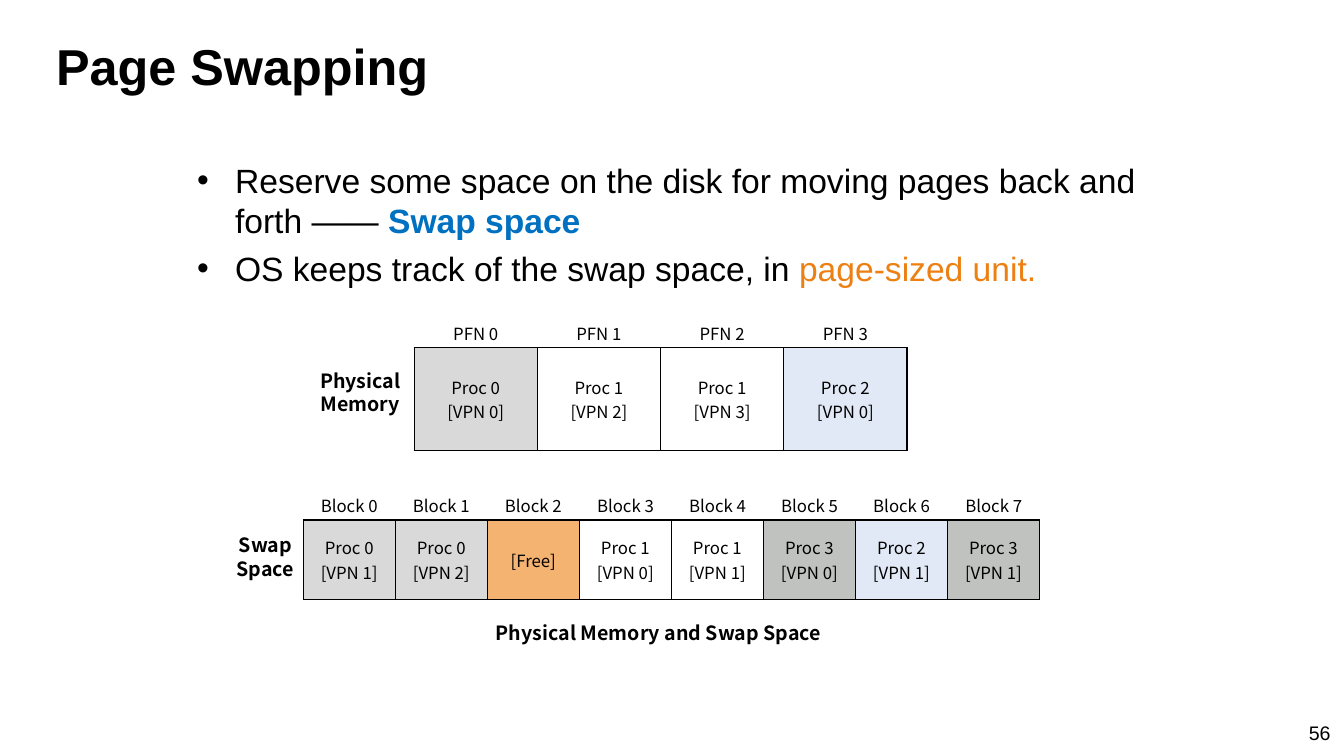
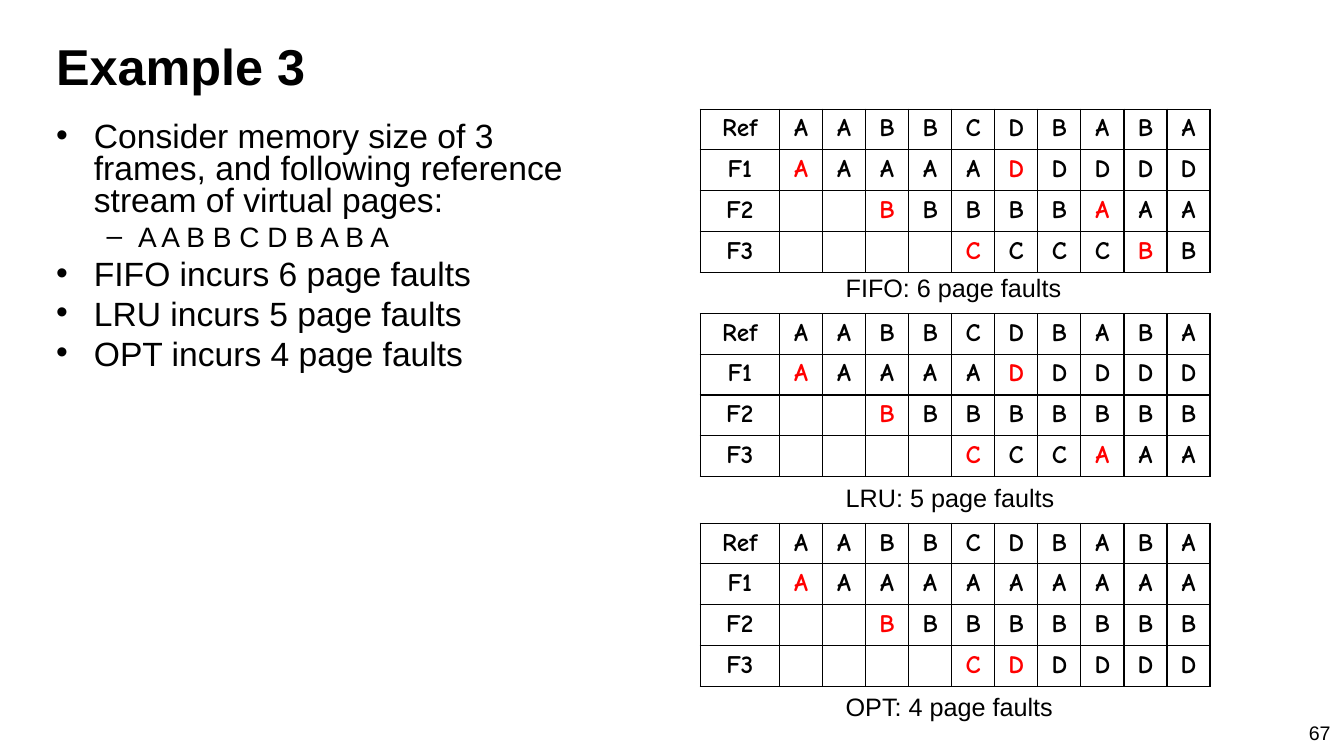
"""Build two lecture slides on page swapping and page replacement."""
from lxml.etree import SubElement
from pptx import Presentation
from pptx.dml.color import RGBColor
from pptx.enum.text import MSO_ANCHOR, PP_ALIGN
from pptx.oxml.ns import qn
from pptx.util import Inches, Pt

BLACK = RGBColor(0x00, 0x00, 0x00)
RED = RGBColor(0xFF, 0x00, 0x00)
BLUE = RGBColor(0x00, 0x70, 0xC0)
ORANGE = RGBColor(0xED, 0x80, 0x13)
PROC_FILLS = {
    "Proc 0": RGBColor(0xD9, 0xD9, 0xD9),
    "Proc 2": RGBColor(0xE2, 0xE9, 0xF6),
    "Proc 3": RGBColor(0xC0, 0xC2, 0xC0),
    "[Free]": RGBColor(0xF4, 0xB3, 0x71),
}

COLUMNS, ROWS = 160, 90
UNIT = Inches(1) // 12

TITLE = {"name": "Arial", "size": Pt(36), "bold": True}
BODY = {"name": "Arial", "size": Pt(24), "bold": False}
SUB_BODY = {**BODY, "size": Pt(20)}
NOTE = {"name": "Arial", "size": Pt(18), "bold": False}
NUMBER = {"name": "Arial", "size": Pt(14), "bold": False}
CELL = {"name": "Noto Sans CJK KR", "size": Pt(12), "bold": False}
LABEL = {"name": "Noto Sans CJK KR", "size": Pt(14), "bold": True}
TRACE = {"name": "Comic Neue", "size": Pt(18), "bold": True}

BULLETS = [
    {"char": "•", "left": 4.5, "hang": 4.5, "style": BODY},
    {"char": "–", "left": 9.75, "hang": 3.75, "style": SUB_BODY},
]

REFERENCES = "AABBCDBABA"
POLICIES = [
    ("FIFO", 6, 13, 31.8, ["AAAAADDDDD", "BBBBBAAA", "CCCCBB"]),
    ("LRU", 5, 37.35, 56.8, ["AAAAADDDDD", "BBBBBBBB", "CCCAAA"]),
    ("OPT", 4, 62.3, 81.7, ["AAAAAAAAAA", "BBBBBBBB", "CDDDDD"]),
]


def grid(*lengths):
    return [round(n * UNIT) for n in lengths]


class Deck:
    def __init__(self):
        self.prs = Presentation()
        self.prs.slide_width, self.prs.slide_height = grid(COLUMNS, ROWS)
        self.s = None

    def slide(self, title, number):
        self.s = self.prs.slides.add_slide(self.prs.slide_layouts[6])
        self.text(5.5, 3.6, 148.8, 8.5, [title], TITLE)
        self.text(152.2, 85.2, 7.4, 4.8, [number], NUMBER, PP_ALIGN.RIGHT)

    def run(self, p, text, style, color=BLACK, **changes):
        r = p.add_run()
        r.text = text
        for key, value in {**style, **changes}.items():
            setattr(r.font, key, value)
        r.font.color.rgb = color

    def lines(self, tf, lines, style, align=PP_ALIGN.LEFT, color=BLACK):
        for i, line in enumerate(lines):
            p = tf.add_paragraph() if i else tf.paragraphs[0]
            p.alignment = align
            self.run(p, line, style, color)

    def box(self, *place):
        tf = self.s.shapes.add_textbox(*grid(*place)).text_frame
        tf.word_wrap = True
        return tf

    def text(self, col, row, width, height, lines, style, align=PP_ALIGN.LEFT):
        self.lines(self.box(col, row, width, height), lines, style, align)

    def bullets(self, col, row, width, height, items, spacing=1.0):
        tf = self.box(col, row, width, height)
        for i, (level, runs) in enumerate(items):
            p = tf.add_paragraph() if i else tf.paragraphs[0]
            bullet = BULLETS[level]
            style = bullet["style"]
            left, hang = grid(bullet["left"], bullet["hang"])
            pPr = p._p.get_or_add_pPr()
            pPr.set("marL", str(left))
            pPr.set("indent", str(-hang))
            SubElement(pPr, qn("a:buFont"), typeface=style["name"])
            SubElement(pPr, qn("a:buChar"), char=bullet["char"])
            p.level = level
            p.line_spacing = spacing
            if i:
                p.space_before = Pt(round(style["size"].pt * 0.23, 1))
            for text, color, bold in runs:
                self.run(p, text, style, color, bold=bold)

    def borders(self, cell):
        tcPr = cell._tc.get_or_add_tcPr()
        for i, side in enumerate(("a:lnL", "a:lnR", "a:lnT", "a:lnB")):
            ln = tcPr.makeelement(qn(side), {"w": str(Pt(1))})
            fill = SubElement(ln, qn("a:solidFill"))
            SubElement(fill, qn("a:srgbClr"), val=str(BLACK))
            tcPr.insert(i, ln)

    def table(self, col, row, widths, heights, cells, style, anchor):
        place = grid(col, row, sum(widths), sum(heights))
        shape = self.s.shapes.add_table(len(heights), len(widths), *place)
        table = shape.table
        table.first_row = table.horz_banding = False
        for column, width in zip(table.columns, grid(*widths)):
            column.width = width
        for line, height in zip(table.rows, grid(*heights)):
            line.height = height
        for y, values in enumerate(cells):
            for x, (lines, color, fill) in enumerate(values):
                cell = table.cell(y, x)
                cell.vertical_anchor = anchor
                if fill is None:
                    cell.fill.background()
                else:
                    cell.fill.solid()
                    cell.fill.fore_color.rgb = fill
                self.borders(cell)
                self.lines(cell.text_frame, lines, style, PP_ALIGN.CENTER, color)

    def memory(self, col, row, width, height, unit, slots):
        cells = [(slot, BLACK, PROC_FILLS.get(slot[0])) for slot in slots]
        self.table(col, row, [width] * len(slots), [height], [cells], CELL,
                   MSO_ANCHOR.MIDDLE)
        label_width = 21.2
        for i in range(len(slots)):
            left = col + (i + 0.5) * width - label_width / 2
            self.text(left, row - 3.5, label_width, 3.6, [f"{unit} {i}"], CELL,
                      PP_ALIGN.CENTER)

    def trace(self, row, frames):
        cells = [[([v], BLACK, None) for v in ("Ref", *REFERENCES)]]
        for i, pages in enumerate(frames, 1):
            pages = pages.rjust(len(REFERENCES))
            line = [([f"F{i}"], BLACK, None)]
            for before, page in zip(" " + pages, pages):
                lines = [page] if page.strip() else []
                line.append((lines, BLACK if page == before else RED, None))
            cells.append(line)
        self.table(83.35, row, [9.45] + [5.13] * len(REFERENCES),
                   [4.65] + [4.87] * len(frames), cells, TRACE, MSO_ANCHOR.TOP)


def swapping(deck):
    deck.slide("Page Swapping", "56")
    deck.bullets(22.3, 18.4, 115.3, 71, [
        (0, [("Reserve some space on the disk for moving pages back and forth —— ",
              BLACK, False), ("Swap space", BLUE, True)]),
        (0, [("OS keeps track of the swap space, in ", BLACK, False),
             ("page-sized unit.", ORANGE, False)]),
    ])
    deck.memory(49.3, 41.4, 14.67, 12.25, "PFN", [
        ("Proc 0", "[VPN 0]"), ("Proc 1", "[VPN 2]"),
        ("Proc 1", "[VPN 3]"), ("Proc 2", "[VPN 0]"),
    ])
    deck.memory(36.1, 61.9, 10.96, 9.5, "Block", [
        ("Proc 0", "[VPN 1]"), ("Proc 0", "[VPN 2]"), ("[Free]",),
        ("Proc 1", "[VPN 0]"), ("Proc 1", "[VPN 1]"), ("Proc 3", "[VPN 0]"),
        ("Proc 2", "[VPN 1]"), ("Proc 3", "[VPN 1]"),
    ])
    for col, row, width, height, lines in [
        (32.3, 43.3, 21.2, 6.8, ["Physical", "Memory"]),
        (21, 62.9, 21.2, 6.8, ["Swap", "Space"]),
        (55, 73.3, 46.8, 4.1, ["Physical Memory and Swap Space"]),
    ]:
        deck.text(col, row, width, height, lines, LABEL, PP_ALIGN.CENTER)


def example(deck):
    deck.slide("Example 3", "67")
    items = [
        (0, "Consider memory size of 3 frames, and following reference "
            "stream of virtual pages:"),
        (1, " ".join(REFERENCES)),
    ]
    items += [(0, f"{name} incurs {faults} page faults")
              for name, faults, *_ in POLICIES]
    deck.bullets(5.5, 14, 68.5, 67.4,
                 [(level, [(text, BLACK, False)]) for level, text in items], 0.8)
    for name, faults, row, note_row, frames in POLICIES:
        deck.trace(row, frames)
        deck.text(99.5, note_row, 29, 4.8, [f"{name}: {faults} page faults"], NOTE)


def main():
    deck = Deck()
    swapping(deck)
    example(deck)
    deck.prs.save("out.pptx")


if __name__ == "__main__":
    main()
